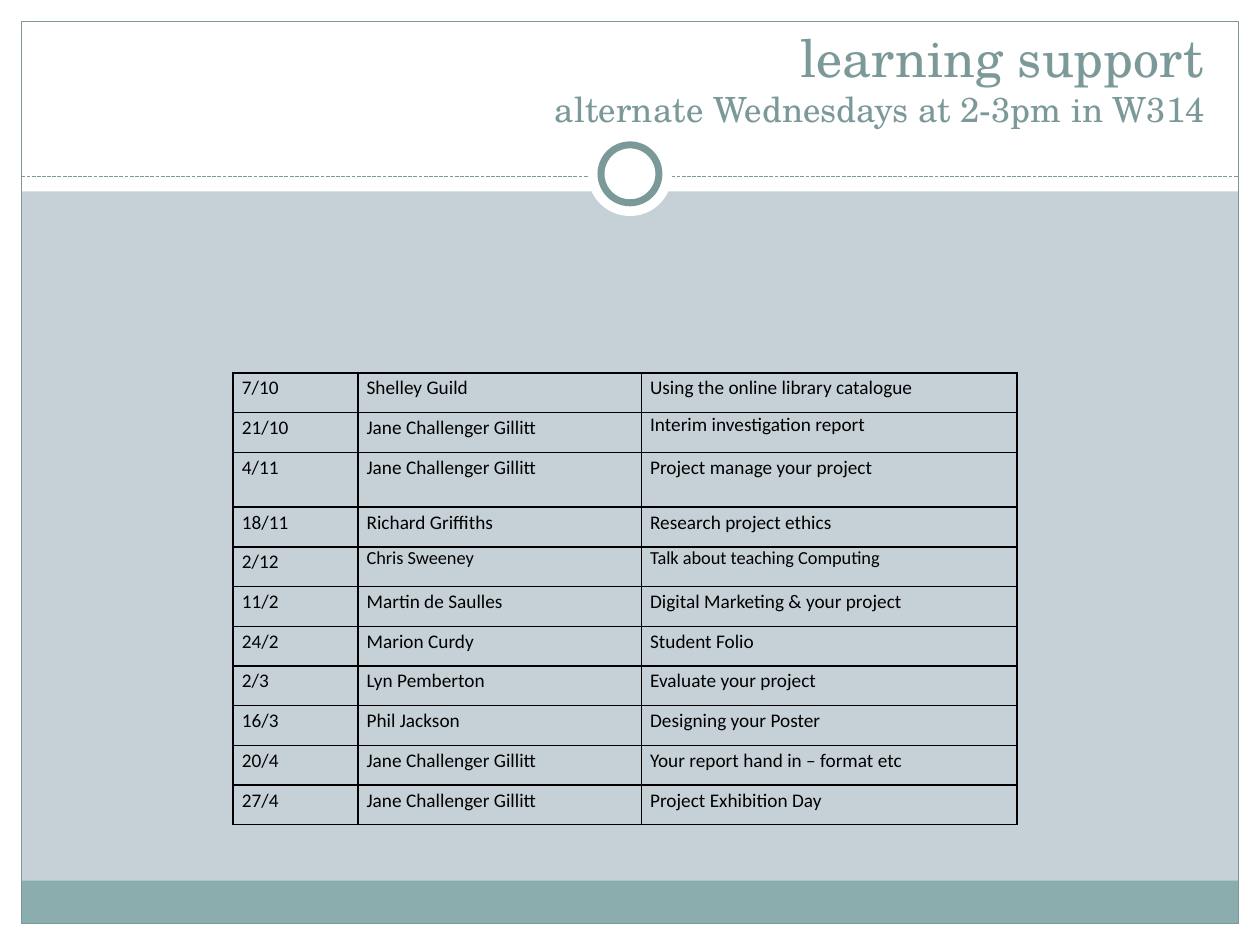
import pptx
import pptx.util
import pptx.dml.color
import pptx.enum.dml
import pptx.enum.shapes
import pptx.enum.text
import pptx.oxml
import pptx.oxml.ns

Inch, Pt = pptx.util.Inches, pptx.util.Pt
SHAPE = pptx.enum.shapes.MSO_SHAPE
WIDE, HIGH, EDGE = 10, 7.5, 0.17
WHITE, TEAL, GREEN, GREY, BLACK = "FFFFFF", "7C999A", "8CADAE", "C5D1D7", "000000"

TITLE = [("learning support", 29.7), ("alternate Wednesdays at 2-3pm in W314", 19.8)]
TALKS = [
    ("7/10", "Shelley Guild", "Using the online library catalogue"),
    ("21/10", "Jane Challenger Gillitt", "Interim investigation report"),
    ("4/11", "Jane Challenger Gillitt", "Project manage your project"),
    ("18/11", "Richard Griffiths", "Research project ethics"),
    ("2/12", "Chris Sweeney", "Talk about teaching Computing"),
    ("11/2", "Martin de Saulles", "Digital Marketing & your project"),
    ("24/2", "Marion Curdy", "Student Folio"),
    ("2/3", "Lyn Pemberton", "Evaluate your project"),
    ("16/3", "Phil Jackson", "Designing your Poster"),
    ("20/4", "Jane Challenger Gillitt", "Your report hand in – format etc"),
    ("27/4", "Jane Challenger Gillitt", "Project Exhibition Day"),
]
COLS = [0.99, 2.25, 2.98]
ROW, TALL = 0.315, {2: 0.436}
# (row, column): text size of the cells set in single spacing
TIGHT = {(1, 2): 11, (4, 1): 10.5, (4, 2): 10.5}


def tint(code):
    return pptx.dml.color.RGBColor.from_string(code)


def draw(slide, kind, box, fill=None, line=None, width=0.75):
    shape = slide.shapes.add_shape(kind, *map(Inch, box))
    shape.shadow.inherit = False
    if fill:
        shape.fill.solid()
        shape.fill.fore_color.rgb = tint(fill)
    else:
        shape.fill.background()
    if line:
        shape.line.color.rgb = tint(line)
        shape.line.width = Pt(width)
    else:
        shape.line.fill.background()


def disc(slide, size, **look):
    """Draw a circle centred on the ring's middle."""
    draw(slide, SHAPE.OVAL, (WIDE / 2 - size / 2, 1.38 - size / 2, size, size), **look)


def frame(slide):
    bands = [
        (0, HIGH - EDGE, WIDE, EDGE, WHITE),
        (0, 0, WIDE, 1.52, WHITE),
        (0, 0, EDGE, HIGH, WHITE),
        (WIDE - EDGE, 0, EDGE, HIGH, WHITE),
        (EDGE, 6.99, WIDE - 2 * EDGE, 0.34, GREEN),
    ]
    for *box, fill in bands:
        draw(slide, SHAPE.RECTANGLE, box, fill)
    draw(slide, SHAPE.RECTANGLE,
         (EDGE, EDGE, WIDE - 2 * EDGE, HIGH - 2 * EDGE), line=TEAL)
    rule = slide.shapes.add_connector(
        pptx.enum.shapes.MSO_CONNECTOR.STRAIGHT,
        *map(Inch, (EDGE, 1.4, WIDE - EDGE, 1.4)))
    rule.line.color.rgb = tint(TEAL)
    rule.line.width = Pt(0.75)
    rule.line.dash_style = pptx.enum.dml.MSO_LINE.SQUARE_DOT
    props = rule.element.find(pptx.oxml.ns.qn("p:spPr"))
    props.append(pptx.oxml.parse_xml(
        f'<a:effectLst {pptx.oxml.ns.nsdecls("a")}/>'))
    disc(slide, 0.67, fill=WHITE)
    disc(slide, 0.46, fill=WHITE, line=TEAL, width=4)


def head(slide):
    title = slide.shapes.title
    title.left, title.top, title.width, title.height = map(
        Inch, (0.33, 0.25, 9.33, 0.83))
    # Bring the title in front of the frame
    slide.shapes.element.append(title.element)
    text = title.text_frame
    text.word_wrap = True
    text.auto_size = pptx.enum.text.MSO_AUTO_SIZE.NONE
    text.vertical_anchor = pptx.enum.text.MSO_ANCHOR.BOTTOM
    para = text.paragraphs[0]
    para.alignment = pptx.enum.text.PP_ALIGN.RIGHT
    para.font.name = "TeX Gyre Schola"
    para.font.color.rgb = tint(TEAL)
    for i, (words, size) in enumerate(TITLE):
        if i:
            para.add_line_break()
        run = para.add_run()
        run.text = words
        run.font.size = Pt(size)


def rim(cell):
    """Give a cell a thin black border on all sides."""
    props = cell._tc.get_or_add_tcPr()
    for i, side in enumerate(("lnL", "lnR", "lnT", "lnB")):
        props.insert(i, pptx.oxml.parse_xml(
            f'<a:{side} {pptx.oxml.ns.nsdecls("a")} w="12700"><a:solidFill>'
            f'<a:srgbClr val="{BLACK}"/></a:solidFill></a:{side}>'))


def plan(slide):
    rows = [TALL.get(r, ROW) for r in range(len(TALKS))]
    grid = slide.shapes.add_table(
        len(rows), len(COLS),
        *map(Inch, (1.85, 2.96, sum(COLS), sum(rows)))).table
    grid.first_row = grid.horz_banding = False
    for col, width in zip(grid.columns, COLS):
        col.width = Inch(width)
    for r, talk in enumerate(TALKS):
        grid.rows[r].height = Inch(rows[r])
        for c, words in enumerate(talk):
            cell = grid.cell(r, c)
            cell.fill.background()
            rim(cell)
            cell.margin_left = cell.margin_right = Inch(0.07)
            cell.margin_top = cell.margin_bottom = 0
            cell.text = words
            para = cell.text_frame.paragraphs[0]
            para.line_spacing = 1.0 if (r, c) in TIGHT else 1.15
            para.font.size = Pt(TIGHT.get((r, c), 11))
            para.font.name = "Calibri"
            para.font.color.rgb = tint(BLACK)


def main():
    deck = pptx.Presentation()
    deck.slide_width, deck.slide_height = Inch(WIDE), Inch(HIGH)
    slide = deck.slides.add_slide(deck.slide_layouts[5])
    slide.background.fill.solid()
    slide.background.fill.fore_color.rgb = tint(GREY)
    frame(slide)
    head(slide)
    plan(slide)
    deck.save("out.pptx")


if __name__ == "__main__":
    main()
